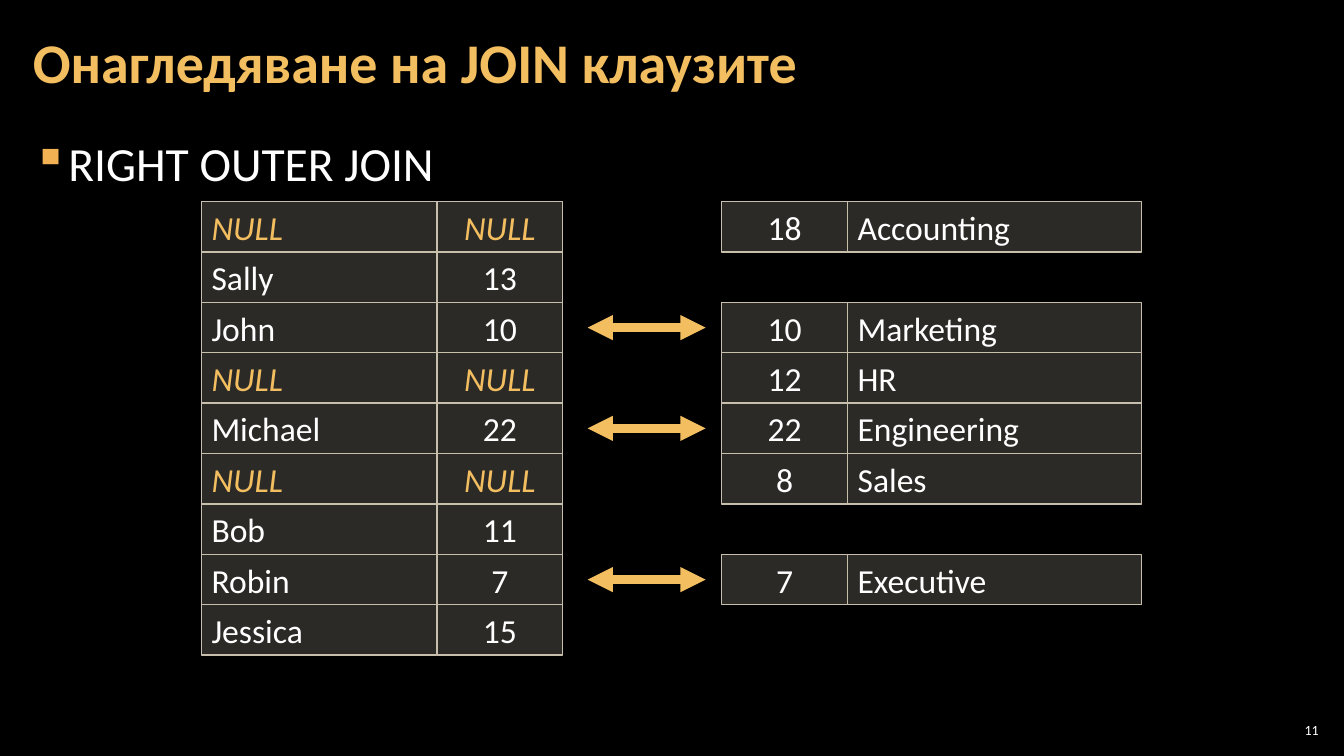
from lxml import etree
from pptx import Presentation
from pptx import util as u
from pptx.dml.color import RGBColor
from pptx.enum import shapes, text
from pptx.oxml.ns import qn

COLORS = {
    "bg": "000000",
    "text": "FFFFFF",
    "accent": "F3BE60",
    "bullet": "F2B254",
    "cell": "D9D5C7",
    "border": "C7BFAC",
}
LEFT, CENTER, RIGHT = text.PP_ALIGN.LEFT, text.PP_ALIGN.CENTER, text.PP_ALIGN.RIGHT
TOP, MIDDLE = text.MSO_ANCHOR.TOP, text.MSO_ANCHOR.MIDDLE

TABLE_TOP, ROW_H, KEY_W = 144, 36, 90
NAME_X, NAME_W = 144, 168
DEPT_X, DEPT_W = 515.5, 210
ARROW_X1, ARROW_X2 = 419.75, 504
PEOPLE = [
    ("NULL", "NULL"),
    ("Sally", "13"),
    ("John", "10"),
    ("NULL", "NULL"),
    ("Michael", "22"),
    ("NULL", "NULL"),
    ("Bob", "11"),
    ("Robin", "7"),
    ("Jessica", "15"),
]
DEPARTMENTS = {
    0: ("18", "Accounting"),
    2: ("10", "Marketing"),
    3: ("12", "HR"),
    4: ("22", "Engineering"),
    5: ("8", "Sales"),
    7: ("7", "Executive"),
}


def rgb(name):
    return RGBColor.from_string(COLORS[name])


def write(sp, content, size=24, color="text", bold=False, italic=False,
          align=LEFT, anchor=MIDDLE, inset=(7.2, 3.6), font="Calibri"):
    tf = sp.text_frame
    tf.word_wrap = True
    tf.vertical_anchor = anchor
    tf.margin_left = tf.margin_right = u.Pt(inset[0])
    tf.margin_top = tf.margin_bottom = u.Pt(inset[1])
    p = tf.paragraphs[0]
    p.alignment = align
    r = p.add_run()
    r.text = content
    r.font.name = font
    r.font.size = u.Pt(size)
    r.font.bold = bold
    r.font.italic = italic
    r.font.color.rgb = rgb(color)
    return p


class Deck:
    def __init__(self, width, height):
        self.prs = Presentation()
        self.prs.slide_width, self.prs.slide_height = u.Pt(width), u.Pt(height)
        self.s = self.prs.slides.add_slide(self.prs.slide_layouts[6])
        self.s.background.fill.solid()
        self.s.background.fill.fore_color.rgb = rgb("bg")

    def label(self, x, y, w, h, content, **fmt):
        sp = self.s.shapes.add_textbox(u.Pt(x), u.Pt(y), u.Pt(w), u.Pt(h))
        return write(sp, content, **fmt)

    def bullet(self, x, y, w, h, content, **fmt):
        p = self.label(x, y, w, h, content, **fmt)
        p.line_spacing = 1.05
        p.space_before = p.space_after = u.Pt(6)
        pPr = p._p.get_or_add_pPr()
        pPr.set("marL", str(u.Pt(24)))
        pPr.set("indent", str(u.Pt(-24)))
        clr = etree.SubElement(pPr, qn("a:buClr"))
        etree.SubElement(clr, qn("a:srgbClr"), val=COLORS["bullet"])
        etree.SubElement(pPr, qn("a:buChar"), char="▪")

    def cell(self, x, y, w, content, align=LEFT):
        sp = self.s.shapes.add_shape(
            shapes.MSO_SHAPE.RECTANGLE, u.Pt(x), u.Pt(y), u.Pt(w), u.Pt(ROW_H))
        sp.shadow.inherit = False
        sp.fill.solid()
        sp.fill.fore_color.rgb = rgb("cell")
        clr = sp.fill._xPr.find(qn("a:solidFill"))[0]
        etree.SubElement(clr, qn("a:alpha"), val="20000")
        sp.line.color.rgb = rgb("border")
        sp.line.width = u.Pt(1)
        null = content == "NULL"
        write(sp, content, align=align, italic=null,
              color="accent" if null else "text")

    def arrow(self, x1, x2, y):
        c = self.s.shapes.add_connector(
            shapes.MSO_CONNECTOR.STRAIGHT, u.Pt(x1), u.Pt(y), u.Pt(x2), u.Pt(y))
        c.line.color.rgb = rgb("accent")
        c.line.width = u.Pt(6)
        ln = c.line._get_or_add_ln()
        for end in ("a:headEnd", "a:tailEnd"):
            etree.SubElement(ln, qn(end), type="triangle")
        etree.SubElement(c._element.spPr, qn("a:effectLst"))


def main():
    deck = Deck(960, 540)
    deck.label(911, 514, 33.75, 15, "11", size=10, align=RIGHT, inset=(2.83, 2.83))
    deck.bullet(15, 90.75, 929.75, 438.5, "RIGHT OUTER JOIN", size=34,
                anchor=TOP, inset=(8.5, 2.83))
    title = deck.label(15, 3, 754, 87, "Онагледяване на JOIN клаузите", size=40,
                       color="accent", bold=True, inset=(8.5, 2.83))
    title.line_spacing = 0.9

    for i, (name, key) in enumerate(PEOPLE):
        y = TABLE_TOP + i * ROW_H
        deck.cell(NAME_X, y, NAME_W, name)
        deck.cell(NAME_X + NAME_W, y, KEY_W, key, CENTER)
        if i in DEPARTMENTS:
            dept_key, dept = DEPARTMENTS[i]
            deck.cell(DEPT_X, y, KEY_W, dept_key, CENTER)
            deck.cell(DEPT_X + KEY_W, y, DEPT_W, dept)
            if dept_key == key:
                deck.arrow(ARROW_X1, ARROW_X2, y + ROW_H / 2)

    deck.prs.save("out.pptx")


if __name__ == "__main__":
    main()
